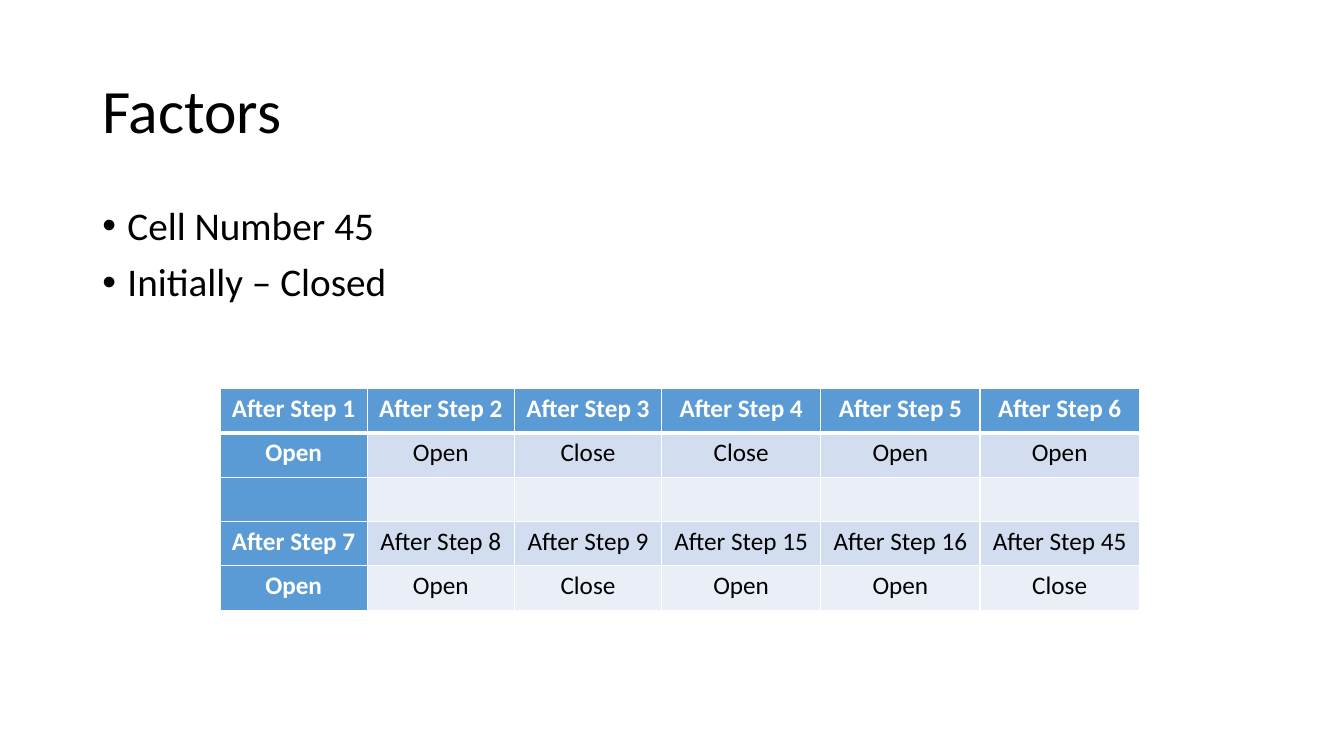
from pptx import Presentation
from pptx.dml.color import RGBColor
from pptx.enum.text import MSO_ANCHOR, PP_ALIGN
from pptx.oxml.ns import qn
from pptx.util import Pt
from lxml.etree import SubElement

BLACK = RGBColor(0x00, 0x00, 0x00)
WHITE = RGBColor(0xFF, 0xFF, 0xFF)
BLUE = RGBColor(0x5B, 0x9B, 0xD5)
BANDS = (RGBColor(0xEA, 0xEF, 0xF7), RGBColor(0xD2, 0xDE, 0xEF))

BULLETS = ["Cell Number 45", "Initially – Closed"]
STEP_ROWS = [
    [f"After Step {step}" for step in range(1, 7)],
    ["Open", "Open", "Close", "Close", "Open", "Open"],
    [""] * 6,
    [f"After Step {step}" for step in (7, 8, 9, 15, 16, 45)],
    ["Open", "Open", "Close", "Open", "Open", "Close"],
]
COLUMN_WIDTHS = [105.12] * 3 + [113.76] * 3
ROW_HEIGHT = 31.68


class SlideBuilder:
    """Holds the text style and the slide being built."""

    font = "Calibri"

    def __init__(self, page):
        """Keep the slide to draw on."""
        self.page = page

    def add_run(self, para, text, size, color=BLACK, bold=False):
        """Append one styled run to a paragraph."""
        span = para.add_run()
        span.text = text
        span.font.name = self.font
        span.font.size = Pt(size)
        span.font.bold = bold
        span.font.color.rgb = color

    def add_text(self, bounds, lines, size, anchor=MSO_ANCHOR.TOP, bulleted=False):
        """Add a text box with one paragraph per line."""
        box = self.page.shapes.add_textbox(*map(Pt, bounds))
        frame = box.text_frame
        frame.word_wrap = True
        frame.vertical_anchor = anchor
        for index, line in enumerate(lines):
            para = frame.add_paragraph() if index else frame.paragraphs[0]
            para.line_spacing = 0.9
            if bulleted:
                para.space_before = Pt(10)
                self.add_bullet(para)
            self.add_run(para, line, size)

    def add_bullet(self, para):
        """Give a paragraph a hanging round bullet."""
        properties = para._p.get_or_add_pPr()
        properties.set("marL", str(Pt(18)))
        properties.set("indent", str(-Pt(18)))
        SubElement(properties, qn("a:buFont"), typeface="Arial")
        SubElement(properties, qn("a:buChar"), char="•")

    def add_border(self, cell, side, width):
        """Draw one white edge of a cell."""
        line = SubElement(cell._tc.get_or_add_tcPr(), qn(f"a:ln{side}"), w=str(Pt(width)))
        fill = SubElement(line, qn("a:solidFill"))
        SubElement(fill, qn("a:srgbClr"), val=str(WHITE))

    def fill_cell(self, cell, text, row, column):
        """Style one cell by its place in the table and write its text."""
        heading = row == 0 or column == 0
        thick_side = {0: "B", 1: "T"}.get(row)
        for side in "LRTB":
            self.add_border(cell, side, 3 if side == thick_side else 1)
        cell.fill.solid()
        cell.fill.fore_color.rgb = BLUE if heading else BANDS[row % 2]
        if text:
            cell.margin_left = cell.margin_right = Pt(5.04)
            cell.margin_top = cell.margin_bottom = Pt(0)
            para = cell.text_frame.paragraphs[0]
            para.alignment = PP_ALIGN.CENTER
            para.line_spacing = 1.15
            self.add_run(para, text, 18, WHITE if heading else BLACK, heading)

    def add_table(self, left, top, rows, widths, row_height):
        """Add a table with a header row, header column and banded rows."""
        bounds = (left, top, sum(widths), row_height * len(rows))
        table = self.page.shapes.add_table(len(rows), len(widths), *map(Pt, bounds)).table
        table.first_col = True
        for column, width in zip(table.columns, widths):
            column.width = Pt(width)
        for row, texts in enumerate(rows):
            table.rows[row].height = Pt(row_height)
            for column, text in enumerate(texts):
                self.fill_cell(table.cell(row, column), text, row, column)


def main():
    """Build the Factors slide and save it."""
    deck = Presentation()
    deck.slide_width, deck.slide_height = Pt(960), Pt(540)
    builder = SlideBuilder(deck.slides.add_slide(deck.slide_layouts[6]))
    builder.add_text((66, 28.8, 828, 104.4), ["Factors"], 44, MSO_ANCHOR.MIDDLE)
    builder.add_text((66, 144, 828, 342.6), BULLETS, 28, bulleted=True)
    builder.add_table(157.2, 277.5, STEP_ROWS, COLUMN_WIDTHS, ROW_HEIGHT)
    deck.save("out.pptx")


main()
